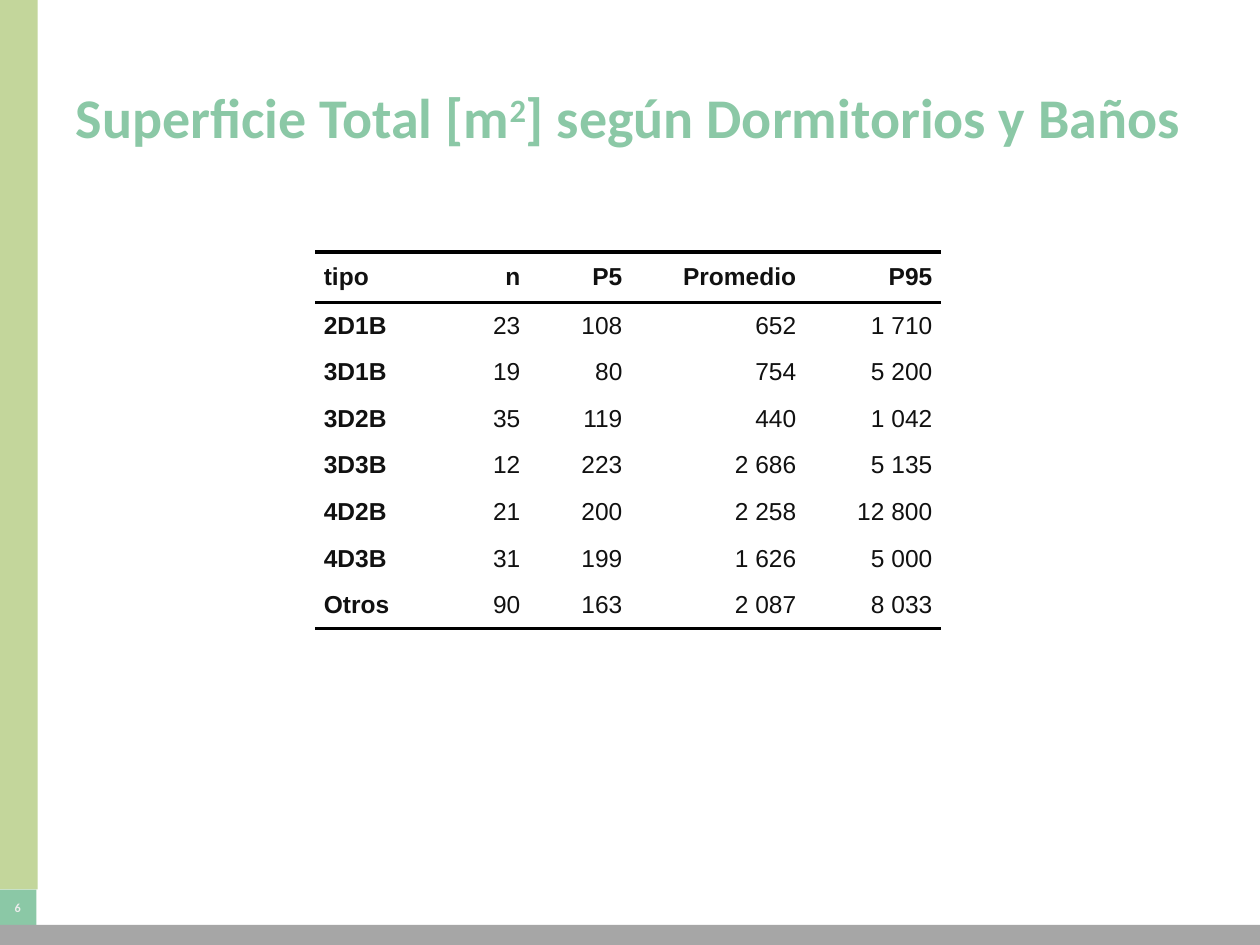
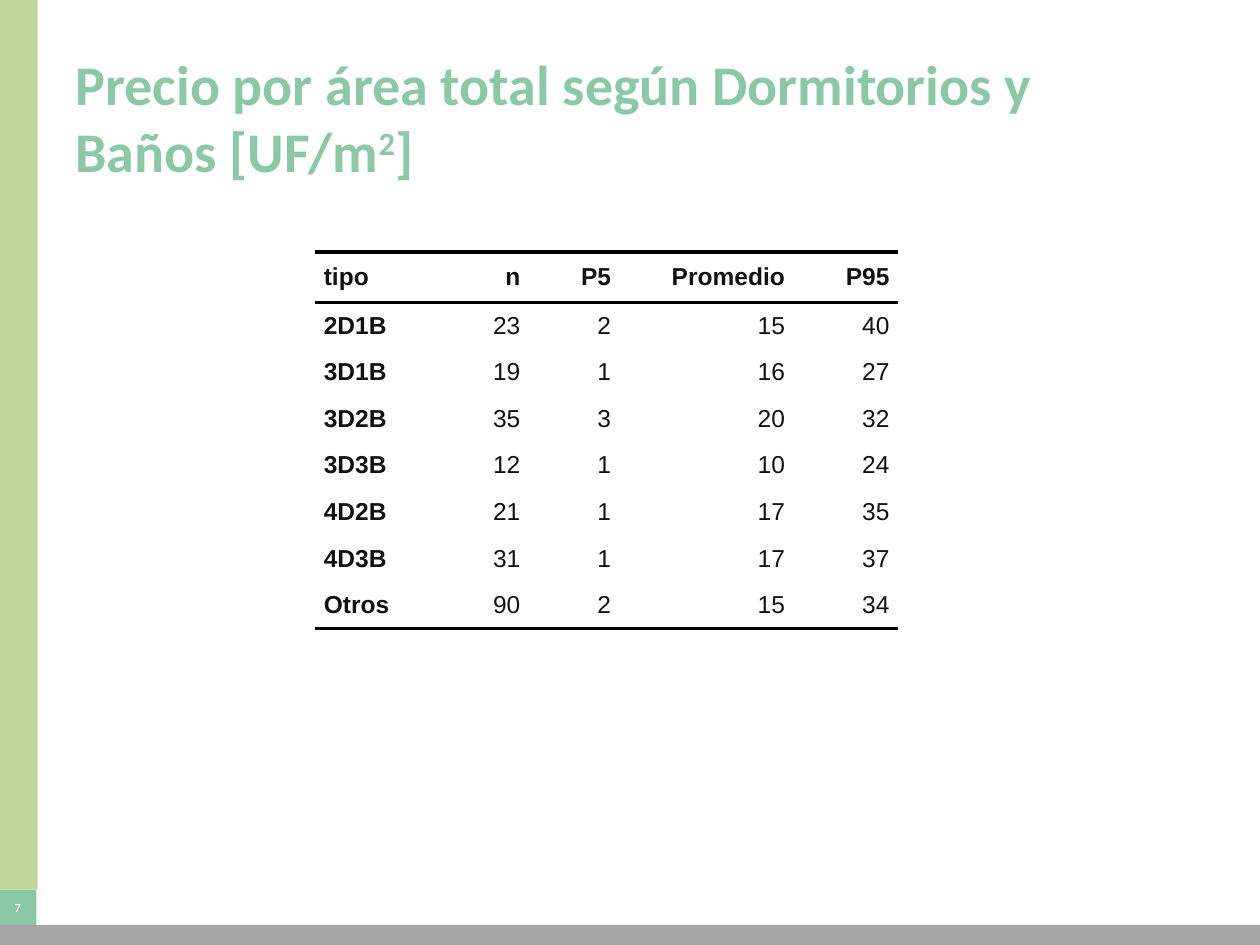
from lxml import etree
from pptx import Presentation, util as u
from pptx.dml.color import RGBColor
from pptx.enum import shapes, text
from pptx.oxml.ns import qn

COLORS = {"green": "8BC8A6", "lime": "C3D69B", "gray": "A6A6A6",
          "pale": "ECECEC", "ink": "111111", "rule": "000000"}
PLAIN_TABLE_STYLE = "{2D5ABB26-0587-4C30-8999-92F81FD0307C}"
BANDS = [("lime", 0, 0, 0.3, 7.06),
         ("green", -0.01, 7.06, 0.3, 0.29),
         ("gray", -0.01, 7.34, 10.03, 0.16)]
HEADER = ["tipo", "n", "P5", "Promedio", "P95"]
TYPES = ["2D1B", "3D1B", "3D2B", "3D3B", "4D2B", "4D3B", "Otros"]
COUNTS = ["23", "19", "35", "12", "21", "31", "90"]
SLIDES = [
    {"number": "6",
     "title": ["Superficie Total [m", "2", "] según Dormitorios y Baños"],
     "widths": [1, 0.7, 0.81, 1.38, 1.08],
     "P5": ["108", "80", "119", "223", "200", "199", "163"],
     "Promedio": ["652", "754", "440", "2 686", "2 258", "1 626", "2 087"],
     "P95": ["1 710", "5 200", "1 042", "5 135", "12 800", "5 000", "8 033"]},
    {"number": "7",
     "title": ["Precio por área total según Dormitorios y Baños [UF/m", "2", "]"],
     "widths": [1, 0.7, 0.72, 1.38, 0.83],
     "P5": ["2", "1", "3", "1", "1", "1", "2"],
     "Promedio": ["15", "16", "20", "10", "17", "17", "15"],
     "P95": ["40", "27", "32", "24", "35", "37", "34"]},
]


def add_span(para, words, font, size, color, bold=True):
    span = para.add_run()
    span.text = words
    span.font.name = font
    span.font.size = u.Pt(size)
    span.font.bold = bold
    span.font.color.rgb = RGBColor.from_string(COLORS[color])
    return span


def add_rule(cell, side):
    line = etree.SubElement(cell._tc.get_or_add_tcPr(), qn(f"a:{side}"), w=str(u.Pt(2)))
    fill = etree.SubElement(line, qn("a:solidFill"))
    etree.SubElement(fill, qn("a:srgbClr"), val=COLORS["rule"])


deck = Presentation()
deck.slide_width, deck.slide_height = u.Inches(10), u.Inches(7.5)

for content in SLIDES:
    page = deck.slides.add_slide(deck.slide_layouts[5])

    for color, *place in BANDS:
        band = page.shapes.add_shape(shapes.MSO_SHAPE.RECTANGLE, *map(u.Inches, place))
        band.shadow.inherit = False
        band.fill.solid()
        band.fill.fore_color.rgb = RGBColor.from_string(COLORS[color])
        band.line.fill.background()
        if color == "green":
            frame = band.text_frame
            frame.margin_left = frame.margin_right = 0
            frame.margin_top = frame.margin_bottom = 0
            frame.vertical_anchor = text.MSO_ANCHOR.MIDDLE
            para = frame.paragraphs[0]
            para.alignment = text.PP_ALIGN.CENTER
            add_span(para, content["number"], "Calibri", 7, "pale")

    title = page.shapes.title
    title.left, title.top = u.Inches(0.5), u.Inches(0.3)
    title.width, title.height = u.Inches(9), u.Inches(1.25)
    frame = title.text_frame
    frame.word_wrap = True
    frame.auto_size = text.MSO_AUTO_SIZE.NONE
    frame.vertical_anchor = text.MSO_ANCHOR.MIDDLE
    para = frame.paragraphs[0]
    para.alignment = text.PP_ALIGN.LEFT
    for words in content["title"]:
        span = add_span(para, words, "Calibri", 32, "green")
        if words == "2":
            span.font._element.set("baseline", "30000")

    columns = [TYPES, COUNTS] + [content[name] for name in HEADER[2:]]
    rows = [HEADER, *zip(*columns)]
    heights = [0.4] + [0.37] * len(TYPES)
    table = page.shapes.add_table(
        len(rows), len(HEADER), u.Inches(2.5), u.Inches(2),
        u.Inches(sum(content["widths"])), u.Inches(sum(heights))).table
    table.first_row = table.horz_banding = False
    table._tbl.tblPr.find(qn("a:tableStyleId")).text = PLAIN_TABLE_STYLE
    for column, width in zip(table.columns, content["widths"]):
        column.width = u.Inches(width)
    for row, height in zip(table.rows, heights):
        row.height = u.Inches(height)

    for r, values in enumerate(rows):
        for c, value in enumerate(values):
            cell = table.cell(r, c)
            cell.margin_left = cell.margin_right = 0
            cell.margin_top = cell.margin_bottom = 0
            cell.vertical_anchor = text.MSO_ANCHOR.MIDDLE
            if r == 0:
                add_rule(cell, "lnT")
            if r in (0, len(rows) - 1):
                add_rule(cell, "lnB")
            cell.fill.background()
            para = cell.text_frame.paragraphs[0]
            para.alignment = text.PP_ALIGN.RIGHT if c else text.PP_ALIGN.LEFT
            for side in ("marL", "marR"):
                para._p.get_or_add_pPr().set(side, str(u.Inches(0.07)))
            add_span(para, value, "Arial", 14, "ink", bold=r == 0 or c == 0)

deck.save("out.pptx")
